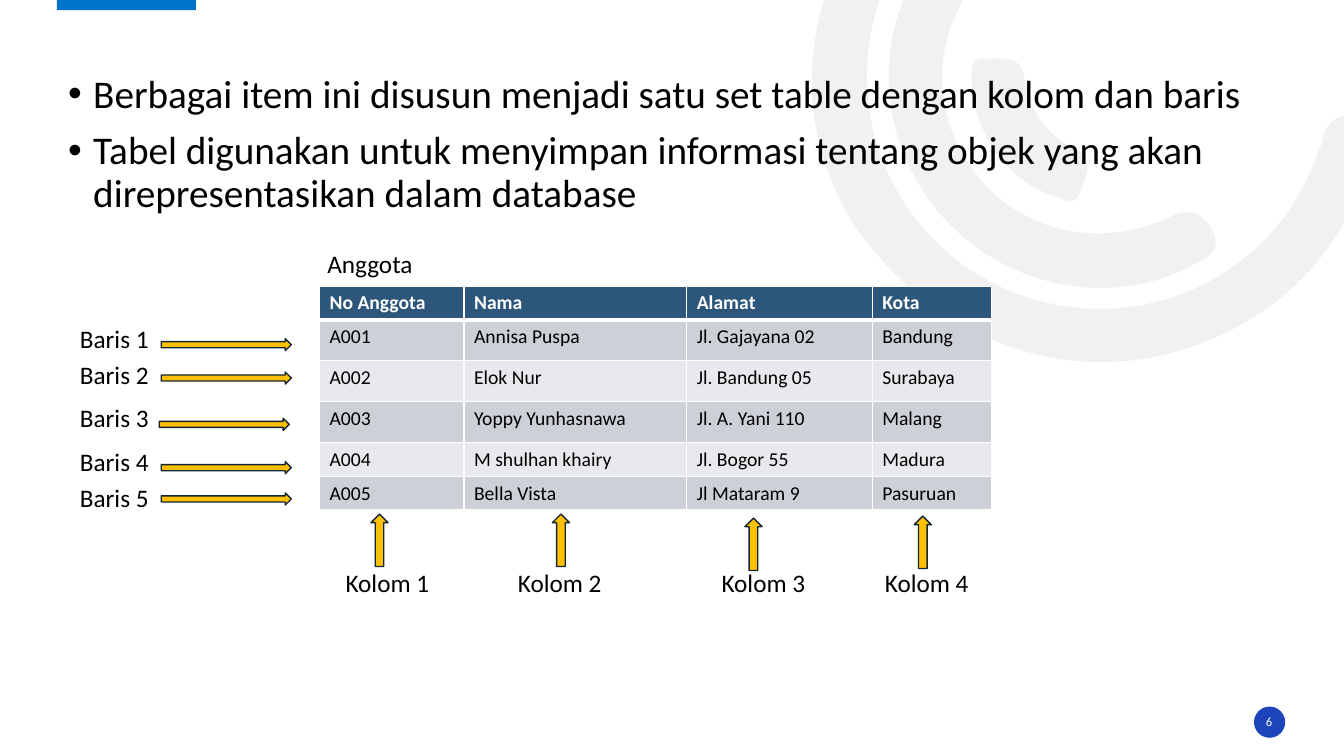
from dataclasses import dataclass
from math import cos, radians, sin

from lxml.etree import SubElement
from pptx import Presentation
from pptx.dml.color import RGBColor
from pptx.enum.shapes import MSO_SHAPE
from pptx.enum.text import MSO_ANCHOR, MSO_AUTO_SIZE, PP_ALIGN
from pptx.oxml import parse_xml
from pptx.oxml.ns import nsdecls, qn
from pptx.util import Inches, Pt


@dataclass(frozen=True)
class Theme:
    font: str = "Calibri"
    text: str = "000000"
    white: str = "FFFFFF"
    bar: str = "0072C7"
    badge: str = "1E44BC"
    arc: str = "E7E6E6"
    arc_alpha: int = 53
    arc_angle: float = 144.2
    header: str = "2C567A"
    bands: tuple = ("CDD1D7", "E8E9EC")
    arrow: str = "FFC000"
    outline: str = "132635"
    body_size: int = 28
    label_size: int = 18
    table_size: int = 14
    number_size: int = 9


COLS, ROWS = 133.33, 75

ARCS = [
    ((81.3, -20.2, 48.5, 60), (85.1, 22.9), [
        (79.9, 14.9, 78.7, 5, 83.8, -5), (89, -15.2, 97.6, -20.3, 109, -20.7),
        (110.5, -20.7, 112.1, -21, 113.1, -19.5), (114.4, -17.5, 112.7, -15.4, 109.8, -15.4),
        (96.7, -15.4, 86.5, -5.9, 86, 6.8), (85.6, 18.1, 93.6, 28.1, 104.6, 30.2),
        (116, 32.4, 127, 26.1, 130.7, 15.2), (130.9, 14.8, 131.1, 14.4, 131.2, 14),
        (131.6, 11.9, 132.7, 11.1, 134.9, 11.7), (137.3, 12.4, 136.7, 14.1, 136.1, 15.6),
        (133.4, 24.5, 127.8, 30.7, 119.1, 34.1), (107, 38.7, 93.6, 34.5, 85.1, 22.9)]),
    ((90.1, -7.8, 21.3, 42.6), (92.2, 19.9), [
        (86.2, 11.5, 86.9, 0.7, 94, -6.8), (95.1, -7.9, 96.2, -9.5, 98, -7.8),
        (99.5, -6.4, 99.7, -5, 97.9, -3.2), (92.5, 2.6, 92, 10.8, 96.5, 16.8),
        (100.8, 22.9, 108.8, 24.9, 116.1, 21.5), (118.2, 20.5, 119.3, 21.2, 120.3, 22.9),
        (121.3, 25, 119.7, 25.6, 118.3, 26.3), (109.6, 31, 98.3, 28.2, 92.2, 19.9)]),
    ((98, 3.7, 7.8, 18.3), (98.7, 15.1), [
        (97.5, 13, 96.4, 10.7, 96.4, 8.2), (96.4, 7.3, 96.1, 5.7, 97.6, 5.8),
        (99.2, 5.9, 101.3, 5.3, 101.6, 7.6), (102.1, 11, 103.6, 13.2, 106.7, 14.8),
        (108.8, 15.7, 107.6, 17.6, 107.2, 18.9), (106.8, 20.6, 105.5, 19.8, 104.5, 19.4),
        (102.1, 18.7, 100.3, 17, 98.7, 15.1)]),
]

BULLETS = [
    "Berbagai item ini disusun menjadi satu set table dengan kolom dan baris",
    "Tabel digunakan untuk menyimpan informasi tentang objek yang akan "
    "direpresentasikan dalam database",
]
MEMBERS = [
    ("No Anggota", "Nama", "Alamat", "Kota"),
    ("A001", "Annisa Puspa", "Jl. Gajayana 02", "Bandung"),
    ("A002", "Elok Nur", "Jl. Bandung 05", "Surabaya"),
    ("A003", "Yoppy Yunhasnawa", "Jl. A. Yani 110", "Malang"),
    ("A004", "M shulhan khairy", "Jl. Bogor 55", "Madura"),
    ("A005", "Bella Vista", "Jl Mataram 9", "Pasuruan"),
]
COL_WIDTHS = (14.33, 22.1, 18.4, 11.85)
ROW_HEIGHTS = (3.3, 4.06, 4.06, 4.06, 3.3, 3.3)
ROW_MARKS = [(31.6, 16, 33.6), (35.15, 16, 36.9), (39.4, 15.8, 41.5), (43.75, 16, 45.8), (47.4, 16, 48.9)]
COL_MARKS = [(33.3, 36.8, 51), (50.4, 54.8, 51), (70.6, 73.9, 51.4), (86.8, 90.7, 51.2)]


class Canvas:
    def __init__(self, prs, s, theme):
        self.s, self.theme = s, theme
        self.col, self.row = prs.slide_width / COLS, prs.slide_height / ROWS

    def box(self, x, y, w, h):
        return int(x * self.col), int(y * self.row), int(w * self.col), int(h * self.row)

    def paint(self, sp, fill, line=None):
        sp.shadow.inherit = False
        sp.fill.solid()
        sp.fill.fore_color.rgb = RGBColor.from_string(fill)
        if line:
            sp.line.color.rgb = RGBColor.from_string(line)
            sp.line.width = Pt(1)
        else:
            sp.line.fill.background()

    def shape(self, kind, *at, fill, line=None):
        sp = self.s.shapes.add_shape(kind, *self.box(*at))
        self.paint(sp, fill, line)

    def arc(self, frame, start, beziers):
        x, y, w, h = (round(v * 100) for v in frame)
        fb = self.s.shapes.build_freeform(x, y, scale=self.col / 100)
        fb.add_line_segments([(x + w, y), (x + w, y + h), (x, y + h)], close=True)
        sp = fb.convert_to_shape()
        sp.rotation = self.theme.arc_angle
        self.paint(sp, self.theme.arc)
        color = sp.fill._xPr.find(qn("a:solidFill"))[0]
        SubElement(color, qn("a:alpha"), val=str(self.theme.arc_alpha * 1000))
        outline = next(sp._element.iter(qn("a:path")))
        for child in list(outline):
            outline.remove(child)
        turn = radians(-self.theme.arc_angle)

        def add(tag, values):
            step = SubElement(outline, qn(tag))
            for px, py in zip(values[::2], values[1::2]):
                dx, dy = px * 100 - x - w / 2, py * 100 - y - h / 2
                SubElement(step, qn("a:pt"),
                           x=str(round(w / 2 + dx * cos(turn) - dy * sin(turn))),
                           y=str(round(h / 2 + dx * sin(turn) + dy * cos(turn))))

        add("a:moveTo", start)
        for bezier in beziers:
            add("a:cubicBezTo", bezier)
        SubElement(outline, qn("a:close"))

    def style(self, p, size, color=None, bold=False):
        for r in p.runs:
            r.font.name, r.font.size, r.font.bold = self.theme.font, Pt(size), bold
            r.font.color.rgb = RGBColor.from_string(color or self.theme.text)

    def label(self, text, *at):
        tf = self.s.shapes.add_textbox(*self.box(*at)).text_frame
        tf.word_wrap, tf.auto_size = False, MSO_AUTO_SIZE.SHAPE_TO_FIT_TEXT
        tf.text = text
        self.style(tf.paragraphs[0], self.theme.label_size)

    def number(self, text, *at):
        tf = self.s.shapes.add_textbox(*self.box(*at)).text_frame
        tf.margin_left = tf.margin_right = tf.margin_top = tf.margin_bottom = 0
        tf.word_wrap, tf.vertical_anchor = True, MSO_ANCHOR.MIDDLE
        tf.text = text
        p = tf.paragraphs[0]
        p.alignment = PP_ALIGN.CENTER
        self.style(p, self.theme.number_size, self.theme.white)

    def bullets(self, sp, lines, *at):
        sp.left, sp.top, sp.width, sp.height = self.box(*at)
        tf = sp.text_frame
        tf.auto_size, tf.vertical_anchor = MSO_AUTO_SIZE.NONE, MSO_ANCHOR.TOP
        tf.text = "\n".join(lines)
        for p in tf.paragraphs:
            p.line_spacing, p.space_before = 0.9, Pt(10)
            pPr = p._p.get_or_add_pPr()
            pPr.set("marL", str(Inches(0.25)))
            pPr.set("indent", str(-Inches(0.25)))
            SubElement(pPr, qn("a:buFont"), typeface="Arial")
            SubElement(pPr, qn("a:buChar"), char="•")
            self.style(p, self.theme.body_size)

    def borders(self, cell, top, bottom):
        tcPr = cell._tc.get_or_add_tcPr()
        for i, (side, width) in enumerate(zip("LRTB", (1, 1, top, bottom))):
            tcPr.insert(i, parse_xml(
                f'<a:ln{side} {nsdecls("a")} w="{Pt(width)}"><a:solidFill>'
                f'<a:srgbClr val="{self.theme.white}"/></a:solidFill></a:ln{side}>'))

    def table(self, rows, widths, heights, x, y):
        at = self.box(x, y, sum(widths), sum(heights))
        tbl = self.s.shapes.add_table(len(rows), len(widths), *at).table
        for column, w in zip(tbl.columns, widths):
            column.width = int(w * self.col)
        for i, (row, h) in enumerate(zip(tbl.rows, heights)):
            row.height = int(h * self.row)
            head = i == 0
            fill = self.theme.header if head else self.theme.bands[(i - 1) % 2]
            for cell, text in zip(row.cells, rows[i]):
                cell.text = text
                cell.fill.solid()
                cell.fill.fore_color.rgb = RGBColor.from_string(fill)
                self.style(cell.text_frame.paragraphs[0], self.theme.table_size,
                           self.theme.white if head else self.theme.text, head)
                self.borders(cell, 3 if i == 1 else 1, 3 if head else 1)


def main():
    prs = Presentation()
    prs.slide_width, prs.slide_height = Inches(13.33), Inches(7.5)
    s = prs.slides.add_slide(prs.slide_layouts[1])
    title, body = s.placeholders
    title._element.getparent().remove(title._element)
    theme = Theme()
    c = Canvas(prs, s, theme)

    for frame, start, beziers in ARCS:
        c.arc(frame, start, beziers)
    c.shape(MSO_SHAPE.RECTANGLE, 5.65, -0.2, 13.8, 1.2, fill=theme.bar)
    c.shape(MSO_SHAPE.OVAL, 124.4, 70.1, 3.1, 3.1, fill=theme.badge)
    c.number("6", 124.3, 70.6, 3.2, 2)

    s.shapes._spTree.append(body._element)
    c.bullets(body, BULLETS, 5.75, 6.9, 118.5, 17.5)
    c.label("Anggota", 31.5, 24.15, 10.5, 4)
    c.table(MEMBERS, COL_WIDTHS, ROW_HEIGHTS, 31.7, 28.4)

    arrow = {"fill": theme.arrow, "line": theme.outline}
    for i, (label_y, x, y) in enumerate(ROW_MARKS, 1):
        c.label(f"Baris {i}", 6.95, label_y, 8.9, 4)
        c.shape(MSO_SHAPE.RIGHT_ARROW, x, y, 12.9, 1.2, **arrow)
    for i, (label_x, x, y) in enumerate(COL_MARKS, 1):
        c.label(f"Kolom {i}", label_x, 55.8, 10.4, 4)
        c.shape(MSO_SHAPE.UP_ARROW, x, y, 1.7, 5.2, **arrow)

    prs.save("out.pptx")


if __name__ == "__main__":
    main()
